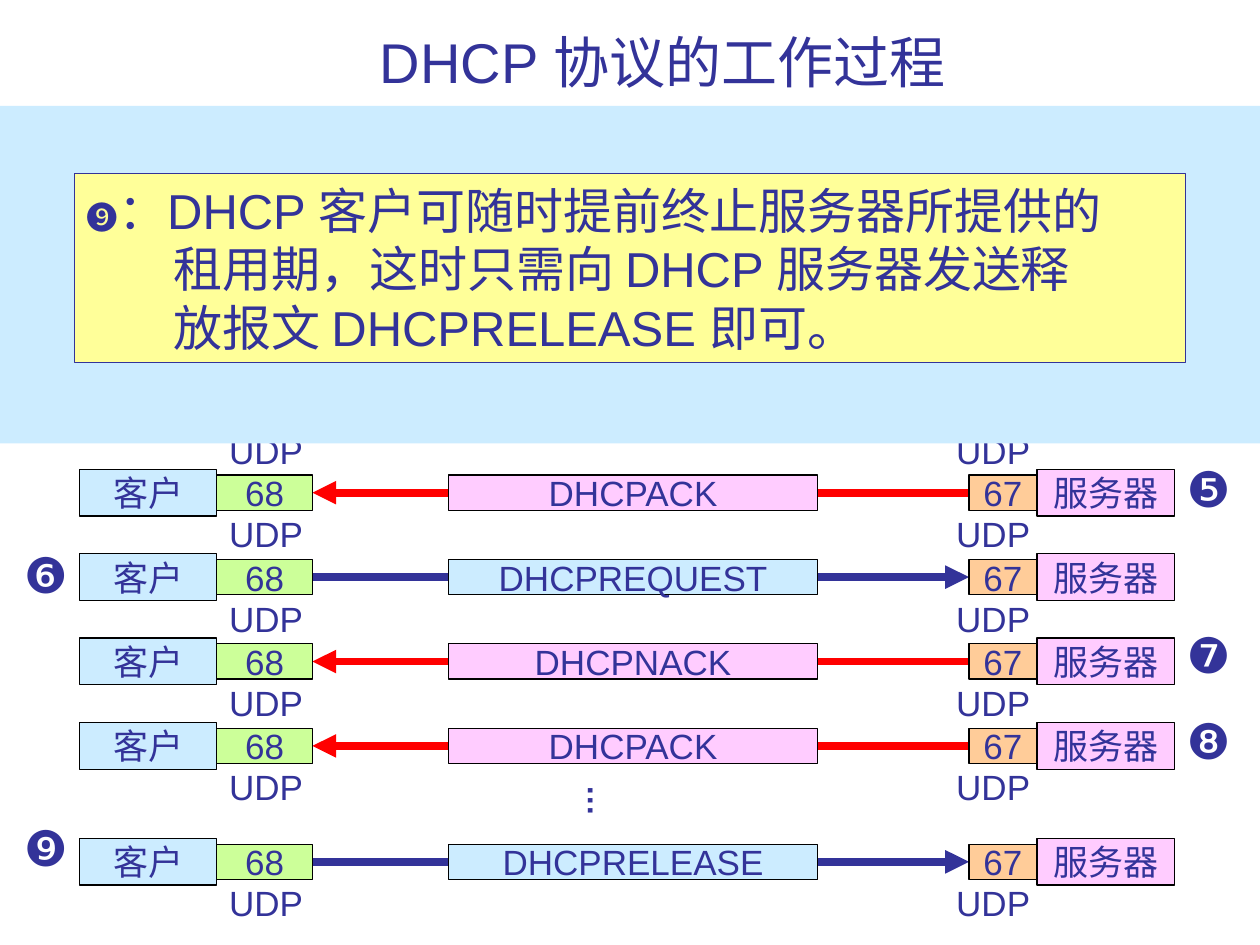
from lxml import etree
from pptx import Presentation
from pptx import util as u
from pptx.dml.color import RGBColor
from pptx.enum import shapes, text
from pptx.oxml import ns

NAVY = RGBColor(0x33, 0x33, 0x99)
RED = RGBColor(0xFF, 0x00, 0x00)
BLACK = RGBColor(0x00, 0x00, 0x00)
SKY = RGBColor(0xCC, 0xEC, 0xFF)
PINK = RGBColor(0xFF, 0xCC, 0xFF)
ORANGE = RGBColor(0xFF, 0xCC, 0x99)
GREEN = RGBColor(0xCC, 0xFF, 0x99)
YELLOW = RGBColor(0xFF, 0xFF, 0x99)

LEFT = text.PP_ALIGN.LEFT
CENTER = text.PP_ALIGN.CENTER
JUSTIFY = text.PP_ALIGN.JUSTIFY
TOP = text.MSO_ANCHOR.TOP
MIDDLE = text.MSO_ANCHOR.MIDDLE
BOTTOM = text.MSO_ANCHOR.BOTTOM

CLIENT_PORT_RIGHT = 2.48
SERVER_PORT_LEFT = 7.69
FIRST_ROW = 3.91
ROW_STEP = 0.67
LAST_ROW = 6.84
BADGE_LEFT = {True: 0.09, False: 9.32}


def write(paragraph, words, size=20, bold=False, color=NAVY, align=LEFT, font="Arial"):
    paragraph.alignment = align
    run = paragraph.add_run()
    run.text = words
    run.font.name = font
    run.font.size = u.Pt(size)
    run.font.bold = bold
    run.font.color.rgb = color


class Board:
    def __init__(self, slide, outline=0.75, arrow=4.5):
        self.slide = slide
        self.outline = u.Pt(outline)
        self.arrow_width = u.Pt(arrow)

    def label(self, words, left, top, width, height, anchor=TOP, rotation=0, **style):
        label = self.slide.shapes.add_textbox(
            u.Inches(left), u.Inches(top), u.Inches(width), u.Inches(height))
        label.rotation = rotation
        frame = label.text_frame
        frame.word_wrap = False
        frame.vertical_anchor = anchor
        write(frame.paragraphs[0], words, **style)

    def box(self, left, top, width, height, fill, line=None, words=None):
        box = self.slide.shapes.add_shape(
            shapes.MSO_SHAPE.RECTANGLE,
            u.Inches(left), u.Inches(top), u.Inches(width), u.Inches(height))
        box.shadow.inherit = False
        box.fill.solid()
        box.fill.fore_color.rgb = fill
        if line is None:
            box.line.fill.background()
        else:
            box.line.color.rgb = line
            box.line.width = self.outline
        if words:
            frame = box.text_frame
            frame.word_wrap = False
            frame.vertical_anchor = MIDDLE
            write(frame.paragraphs[0], words, align=CENTER)
        return box

    def arrow(self, start, end, y, color):
        arrow = self.slide.shapes.add_connector(
            shapes.MSO_CONNECTOR.STRAIGHT,
            u.Inches(start), u.Inches(y), u.Inches(end), u.Inches(y))
        arrow.line.color.rgb = color
        arrow.line.width = self.arrow_width
        etree.SubElement(arrow.line._get_or_add_ln(), ns.qn("a:tailEnd"), type="triangle")
        etree.SubElement(arrow._element.spPr, ns.qn("a:effectLst"))

    def udp_pair(self, top):
        for left in (1.72, 7.49):
            self.label("UDP", left, top, 0.79, 0.44)

    def exchange(self, message, y, from_client):
        ends = (CLIENT_PORT_RIGHT, SERVER_PORT_LEFT)
        start, end = ends if from_client else ends[::-1]
        self.arrow(start, end, y, NAVY if from_client else RED)
        for words, left, width, height, fill in (
            ("客户", 0.63, 1.09, 0.37, SKY),
            (message, 3.56, 2.93, 0.28, SKY if from_client else PINK),
            ("服务器", 8.23, 1.09, 0.37, PINK),
            ("67", SERVER_PORT_LEFT, 0.54, 0.28, ORANGE),
            ("68", 1.72, 0.76, 0.28, GREEN),
        ):
            self.box(left, y - height / 2, width, height, fill, BLACK, words)
        self.udp_pair(y + 0.11)

    def note(self, left, top, width, height, lines, indent):
        frame = self.box(left, top, width, height, YELLOW, NAVY).text_frame
        frame.word_wrap = True
        frame.vertical_anchor = TOP
        for number, runs in enumerate(lines):
            paragraph = frame.add_paragraph() if number else frame.paragraphs[0]
            if number:
                paragraph._p.get_or_add_pPr().set("marL", str(u.Inches(indent)))
            for words, size in runs:
                write(paragraph, words, size=size, align=JUSTIFY)


def main():
    deck = Presentation()
    deck.slide_width, deck.slide_height = u.Inches(10), u.Inches(7.5)
    board = Board(deck.slides.add_slide(deck.slide_layouts[6]))

    board.label("DHCP 协议的工作过程", 1, 0.21, 8.52, 0.59,
                anchor=BOTTOM, size=32, align=CENTER)

    steps = (
        ("❺", "DHCPACK", False, 3.59),
        ("❻", "DHCPREQUEST", True, 4.27),
        ("❼", "DHCPNACK", False, 4.91),
        ("❽", "DHCPACK", False, 5.59),
        ("❾", "DHCPRELEASE", True, 6.44),
    )
    rows = [FIRST_ROW + ROW_STEP * i for i in range(len(steps) - 1)] + [LAST_ROW]
    board.udp_pair(3.36)
    for (badge, message, from_client, badge_top), y in zip(steps, rows):
        board.exchange(message, y, from_client)
        board.label(badge, BADGE_LEFT[from_client], badge_top, 0.55, 0.57, size=28)
    board.label("…", 4.38, 6.15, 0.45, 0.4, rotation=270, size=18, bold=True)

    board.box(0, 0.84, 10, 2.68, SKY)
    board.note(0.59, 1.38, 8.82, 1.5, (
        (("❾", 18), ("：DHCP 客户可随时提前终止服务器所提供的", 28)),
        (("租用期，这时只需向 DHCP 服务器发送释", 28),),
        (("放报文 DHCPRELEASE 即可。", 28),),
    ), indent=0.69)

    deck.save("out.pptx")


if __name__ == "__main__":
    main()
